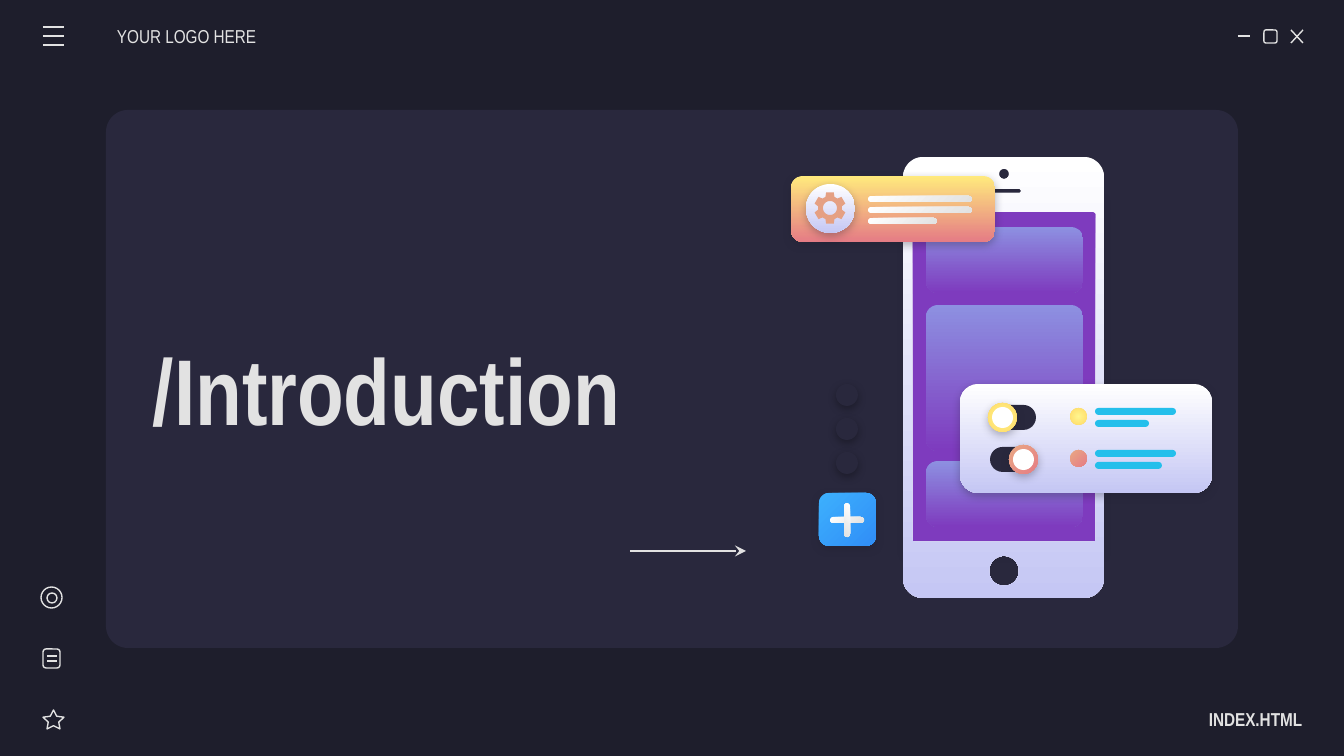
import math

import pptx
import pptx.dml.color
import pptx.enum.shapes
import pptx.enum.text
import pptx.oxml.ns
import pptx.util
from lxml import etree

RGB = pptx.dml.color.RGBColor
SHAPE = pptx.enum.shapes.MSO_SHAPE
ALIGN = pptx.enum.text.PP_ALIGN
qn = pptx.oxml.ns.qn

EMU_PER_PX = 914400 / 134.4

NIGHT = RGB(0x1E, 0x1E, 0x2C)
CARD = RGB(0x29, 0x28, 0x3D)
LIGHT = RGB(0xE2, 0xE2, 0xE2)
WHITE = RGB(0xFF, 0xFF, 0xFF)
BLACK = RGB(0x00, 0x00, 0x00)
PURPLE = RGB(0x7E, 0x3B, 0xBE)
LAVENDER = RGB(0x8D, 0x90, 0xE1)
MIST = RGB(0xC5, 0xC7, 0xF4)
GOLD = RGB(0xFF, 0xEA, 0x7D)
ROSE = RGB(0xE5, 0x7C, 0x85)
PEACH = RGB(0xE5, 0xA0, 0x83)
CORAL = RGB(0xE9, 0xA9, 0x84)
LEMON = RGB(0xFF, 0xF6, 0x8E)
AMBER = RGB(0xFF, 0xD9, 0x66)
CYAN = RGB(0x24, 0xBF, 0xEB)
SKY = RGB(0x3D, 0xB0, 0xFD)
BLUE = RGB(0x30, 0x8E, 0xF7)

# Gradients: first colour, last colour, clockwise angle (None is radial)
GLASS = (WHITE, MIST, 90)
TILE = (LAVENDER, PURPLE, 90)
SUNSET = (GOLD, ROSE, 90)
SILVER = (WHITE, LIGHT, 45)
SUN = (LEMON, AMBER, None)
BLUSH = (CORAL, ROSE, 45)
AZURE = (SKY, BLUE, 45)


def px(n):
    return pptx.util.Emu(round(n * EMU_PER_PX))


def round_contour(x, y, w, h, radius, steps=12):
    """Points of a rounded rectangle, clockwise from the left edge."""
    corners = [(x + radius, y + radius, 180), (x + w - radius, y + radius, 270),
               (x + w - radius, y + h - radius, 0), (x + radius, y + h - radius, 90)]
    points = []
    for cx, cy, start in corners:
        for i in range(steps + 1):
            a = math.radians(start + 90 * i / steps)
            points.append((cx + radius * math.cos(a), cy + radius * math.sin(a)))
    return points


def gear_contour(cx, cy, teeth=6):
    """Points of a gear, with one tooth pointing up."""
    points = []
    for i in range(teeth):
        middle = 360 * i / teeth - 90
        for offset, r in ((-22, 12), (-14, 16), (14, 16), (22, 12)):
            a = math.radians(middle + offset)
            points.append((cx + r * math.cos(a), cy + r * math.sin(a)))
    return points


class Deck:
    font = "Arial Narrow"
    ink = LIGHT
    stroke = pptx.util.Pt(0.75)

    def __init__(self, width, height):
        self.prs = pptx.Presentation()
        self.prs.slide_width, self.prs.slide_height = px(width), px(height)
        self.s = self.prs.slides.add_slide(self.prs.slide_layouts[6])
        self.s.background.fill.solid()
        self.s.background.fill.fore_color.rgb = NIGHT

    def paint(self, sp, fill, shadow):
        sp.shadow.inherit = False
        if fill is None:
            sp.fill.background()
            sp.line.color.rgb, sp.line.width = self.ink, self.stroke
            return
        sp.line.fill.background()
        if isinstance(fill, RGB):
            sp.fill.solid()
            sp.fill.fore_color.rgb = fill
        else:
            self.gradient(sp, *fill)
        if shadow is not None:
            effects = sp._element.spPr.find(qn("a:effectLst"))
            outer = etree.SubElement(effects, qn("a:outerShdw"), blurRad="57150", dist="19050",
                                     dir="5400000", algn="bl", rotWithShape="0")
            color = etree.SubElement(outer, qn("a:srgbClr"), val=str(shadow))
            etree.SubElement(color, qn("a:alpha"), val="30000")

    def gradient(self, sp, first, last, angle):
        sp.fill.gradient()
        for stop, color, position in zip(sp.fill.gradient_stops, (first, last), (0, 1)):
            stop.color.rgb, stop.position = color, position
        if angle is not None:
            sp.fill.gradient_angle = 360 - angle
            return
        grad = sp._element.spPr.find(qn("a:gradFill"))
        grad.remove(grad.find(qn("a:lin")))
        radial = etree.SubElement(grad, qn("a:path"))
        radial.set("path", "circle")
        etree.SubElement(radial, qn("a:fillToRect"), l="50000", t="50000", r="50000", b="50000")

    def shape(self, kind, x, y, w, h, fill=None, shadow=None, rotation=0):
        sp = self.s.shapes.add_shape(kind, px(x), px(y), px(w), px(h))
        sp.rotation = rotation
        self.paint(sp, fill, shadow)
        return sp

    def box(self, x, y, w, h, radius, fill=None, shadow=None, rotation=0):
        sp = self.shape(SHAPE.ROUNDED_RECTANGLE, x, y, w, h, fill, shadow, rotation)
        sp.adjustments[0] = radius / min(w, h)

    def pill(self, x, y, w, h, fill, rotation=0):
        self.box(x, y, w, h, h / 2, fill, rotation=rotation)

    def circle(self, x, y, size, fill=None, shadow=None):
        self.shape(SHAPE.OVAL, x, y, size, size, fill, shadow)

    def outline(self, contours, fill):
        contours = [[(px(x), px(y)) for x, y in points] for points in contours]
        builder = self.s.shapes.build_freeform(*contours[0][0])
        for points in contours:
            builder.move_to(*points[0])
            builder.add_line_segments(points[1:], close=True)
        self.paint(builder.convert_to_shape(), fill, None)

    def line(self, x1, y1, x2, y2, head=None):
        c = self.s.shapes.add_connector(pptx.enum.shapes.MSO_CONNECTOR.STRAIGHT,
                                        px(x1), px(y1), px(x2), px(y2))
        c.line.color.rgb, c.line.width = self.ink, self.stroke
        if head:
            etree.SubElement(c.line._get_or_add_ln(), qn("a:tailEnd"), type=head)
        etree.SubElement(c._element.spPr, qn("a:effectLst"))

    def text(self, x, y, w, h, words, size, bold=False, align=ALIGN.LEFT, left=13, right=13):
        tf = self.s.shapes.add_textbox(px(x), px(y), px(w), px(h)).text_frame
        tf.word_wrap = True
        tf.vertical_anchor = pptx.enum.text.MSO_ANCHOR.MIDDLE
        tf.margin_left, tf.margin_right = px(left), px(right)
        tf.margin_top = tf.margin_bottom = px(13)
        p = tf.paragraphs[0]
        p.alignment = align
        r = p.add_run()
        r.text = words
        r.font.name, r.font.size, r.font.bold = self.font, pptx.util.Pt(size), bold
        r.font.color.rgb = self.ink


def main():
    d = Deck(1344, 756)

    # Main card and window buttons
    d.box(106, 110, 1132, 538, 22, CARD)
    d.line(1238, 36, 1250, 36)
    d.box(1264, 30, 13, 13, 2)
    d.line(1291, 30, 1303, 43)
    d.line(1303, 30, 1291, 43)

    # Menu and side icons
    for y in (27, 36, 45):
        d.line(43, y, 64, y)
    star = d.shape(SHAPE.STAR_5_POINT, 43, 710, 21, 19)
    star.adjustments[0] = 0.25
    d.box(43, 649, 17, 19, 3)
    for y in (656, 661):
        d.line(47, y, 57, y)
    d.circle(41, 587, 21)
    d.circle(47, 593, 10)

    # Texts and arrow
    d.text(117, 16, 157, 40, "YOUR LOGO HERE", 10, left=0)
    d.text(1145, 699, 157, 40, "INDEX.HTML", 10, True, ALIGN.RIGHT, right=0)
    d.text(140, 278, 578, 220, "/Introduction", 50, True)
    d.line(630, 551, 746, 551, "stealth")

    # Phone: screen and tiles under a frame with openings
    d.box(906, 198, 196, 353, 0, PURPLE, NIGHT)
    for y, h in ((227, 66), (305, 146), (461, 66)):
        d.box(926, y, 157, h, 12, TILE)
    body = (903, 157, 201, 441, 20)
    camera = (999, 169, 10, 10, 5)
    speaker = (988, 189, 33, 4, 2)
    window = (912, 212, 184, 330, 3)
    button = (989, 556, 30, 30, 15)
    d.outline([round_contour(*part) for part in (body, camera, speaker, window, button)], GLASS)

    # Settings banner
    d.box(791, 176, 204, 66, 12, SUNSET, NIGHT)
    d.circle(806, 184, 49, GLASS, NIGHT)
    d.outline([gear_contour(830, 208), round_contour(823, 201, 14, 14, 7)], PEACH)
    for i, w in enumerate((104, 104, 69)):
        d.pill(868, 196 + 11 * i, w, 6, SILVER)

    # Toggle panel
    d.box(960, 384, 252, 109, 18, GLASS, NIGHT)
    for i, (knob_x, color, short) in enumerate(((988, SUN, 54), (1009, BLUSH, 67))):
        top = 403 + 42 * i
        d.pill(990, top + 2, 46, 25, CARD)
        d.circle(knob_x, top, 29, color, NIGHT)
        d.circle(knob_x + 4, top + 4, 21, WHITE)
        d.circle(1070, top + 5, 17, color)
        d.pill(1095, top + 5, 81, 7, CYAN)
        d.pill(1095, top + 17, short, 7, CYAN)

    # Add button and dots above it
    d.box(819, 493, 57, 53, 10, AZURE, NIGHT)
    for rotation in (0, 90):
        d.pill(830, 517, 34, 6, SILVER, rotation)
    for i in range(3):
        d.circle(836, 384 + 34 * i, 22, CARD, BLACK)

    d.prs.save("out.pptx")


if __name__ == "__main__":
    main()
